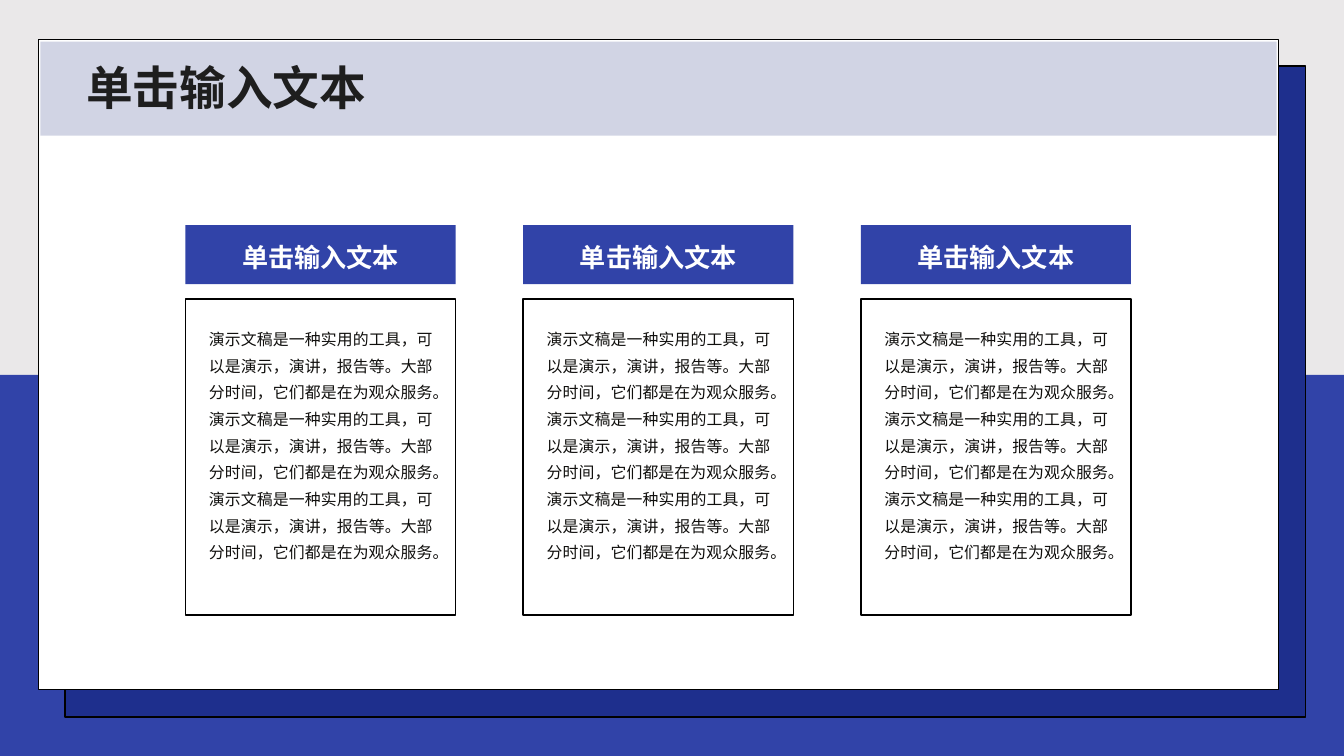
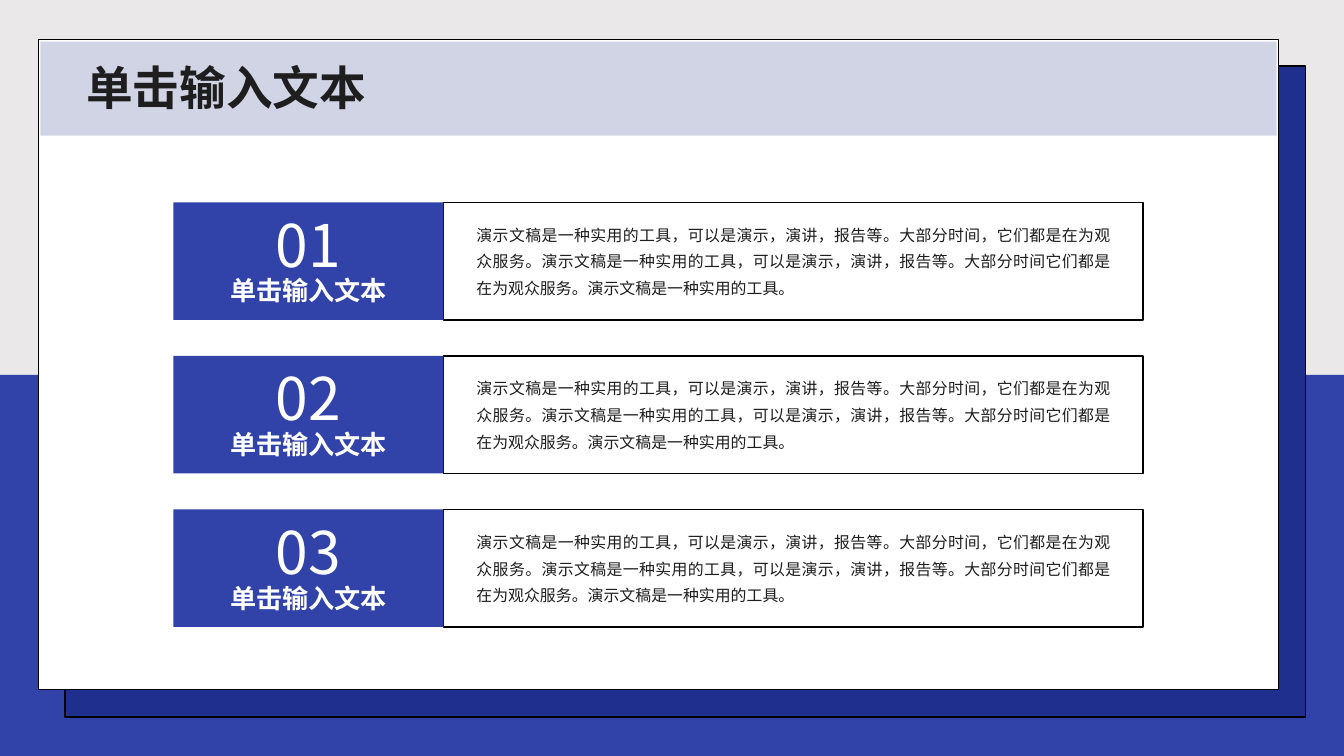
"""Build two slides: three columns of cards and three numbered rows."""
from dataclasses import dataclass

from lxml.etree import SubElement
from pptx import Presentation
from pptx.dml.color import RGBColor
from pptx.enum.shapes import MSO_SHAPE
from pptx.enum.text import MSO_ANCHOR, MSO_AUTO_SIZE, PP_ALIGN
from pptx.oxml.ns import qn
from pptx.util import Inches, Pt

TITLE = "单击输入文本"
HEADING = "单击输入文本"
SENTENCE = "演示文稿是一种实用的工具，可以是演示，演讲，报告等。大部分时间，它们都是在为观众服务。"
CARD_TEXT = SENTENCE * 3
ROW_TEXT = SENTENCE + "演示文稿是一种实用的工具，可以是演示，演讲，报告等。大部分时间它们都是在为观众服务。演示文稿是一种实用的工具。"

CARDS = [(HEADING, CARD_TEXT)] * 3
ROWS = [(number, HEADING, ROW_TEXT) for number in ("01", "02", "03")]


@dataclass(frozen=True)
class Theme:
    """Colours, font and text styles shared by both slides."""
    font: str = "Noto Sans CJK SC"
    backdrop: str = "EAE8E9"
    blue: str = "3143A8"
    navy: str = "1E2F8D"
    band: str = "D1D4E4"
    white: str = "FFFFFF"
    black: str = "000000"
    dark: str = "1E1E1E"
    ink: str = "100F0D"
    outline: float = 1.5


THEME = Theme()
STYLES = {
    "title": dict(size=50, bold=True, color=THEME.dark, spacing=60, align=PP_ALIGN.LEFT),
    "heading": dict(size=28, bold=True, color=THEME.white, spacing=43.7, align=PP_ALIGN.CENTER),
    "number": dict(size=62.9, bold=False, color=THEME.white, spacing=75.5, align=PP_ALIGN.CENTER),
    "card": dict(size=17, bold=False, color=THEME.ink, spacing=28.6, align=PP_ALIGN.JUSTIFY),
    "row": dict(size=17, bold=False, color=THEME.dark, spacing=28.6, align=PP_ALIGN.JUSTIFY),
}
FRAME = [
    ((0, 5.58, 20, 5.67), THEME.blue, False),
    ((0.97, 0.98, 18.46, 9.69), THEME.navy, True),
    ((0.57, 0.59, 18.46, 9.67), THEME.white, True),
    ((0.6, 0.62, 18.4, 1.4), THEME.band, False),
]


def set_all(target, values):
    """Set every attribute named in a dict of values."""
    for name, value in values.items():
        setattr(target, name, value)


def add_box(slide, place, fill=None, outlined=False):
    """Add a rectangle with an optional fill and outline."""
    shape = slide.shapes.add_shape(MSO_SHAPE.RECTANGLE, *map(Inches, place))
    shape.shadow.inherit = False
    if fill:
        shape.fill.solid()
        shape.fill.fore_color.rgb = RGBColor.from_string(fill)
    else:
        shape.fill.background()
    if outlined:
        shape.line.color.rgb = RGBColor.from_string(THEME.black)
        shape.line.width = Pt(THEME.outline)
    else:
        shape.line.fill.background()


def write(shape, text, style_name):
    """Fill a text shape with one styled paragraph."""
    style = STYLES[style_name]
    frame = shape.text_frame
    set_all(frame, dict(
        margin_left=0, margin_top=0, margin_right=0, margin_bottom=0,
        word_wrap=True, auto_size=MSO_AUTO_SIZE.SHAPE_TO_FIT_TEXT,
        vertical_anchor=MSO_ANCHOR.TOP))
    paragraph = frame.paragraphs[0]
    set_all(paragraph, dict(alignment=style["align"], line_spacing=Pt(style["spacing"])))
    run = paragraph.add_run()
    run.text = text
    set_all(run.font, dict(name=THEME.font, size=Pt(style["size"]), bold=style["bold"]))
    run.font.color.rgb = RGBColor.from_string(style["color"])
    SubElement(run.font._element, qn("a:ea"), typeface=THEME.font)


def add_text(slide, place, text, style_name):
    """Add a text box in a named style."""
    write(slide.shapes.add_textbox(*map(Inches, place)), text, style_name)


def add_framed_slide(presentation, title_text):
    """Add a slide with the layered frame, the title band and the title."""
    slide = presentation.slides.add_slide(presentation.slide_layouts[5])
    slide.background.fill.solid()
    slide.background.fill.fore_color.rgb = RGBColor.from_string(THEME.backdrop)
    for place, fill, outlined in FRAME:
        add_box(slide, place, fill, outlined)
    title = slide.shapes.title
    set_all(title, dict(left=Inches(1.28), top=Inches(0.88),
                        width=Inches(4.76), height=Inches(0.82)))
    write(title, title_text, "title")
    slide.shapes._spTree.append(title._element)
    return slide


def add_cards(slide):
    """Place the cards side by side, each under its heading bar."""
    first_left, pitch, width = 2.76, 5.025, 4.02
    for index, (heading, text) in enumerate(CARDS):
        left = first_left + index * pitch
        add_box(slide, (left, 4.45, width, 4.7), outlined=True)
        add_box(slide, (left, 3.35, width, 0.88), THEME.blue)
        add_text(slide, (left + 0.57, 3.45, 2.88, 0.56), heading, "heading")
        add_text(slide, (left + 0.35, 4.79, 3.33, 3.94), text, "card")


def add_rows(slide):
    """Stack the rows, each with a numbered label and an outlined text."""
    first_top, pitch, height = 3.01, 2.285, 1.75
    label_left, label_width, text_width = 2.58, 4.02, 10.41
    text_left = label_left + label_width
    for index, (number, heading, text) in enumerate(ROWS):
        top = first_top + index * pitch
        add_box(slide, (text_left, top, text_width, height), outlined=True)
        add_box(slide, (label_left, top, label_width, height), THEME.blue)
        add_text(slide, (text_left + 0.49, top + 0.23, 9.44, 1.17), text, "row")
        add_text(slide, (label_left + 0.43, top + 0.94, 3.16, 0.56), heading, "heading")
        add_text(slide, (label_left + 1.24, top + 0.09, 1.54, 1.05), number, "number")


def main():
    """Build and save the presentation."""
    presentation = Presentation()
    set_all(presentation, dict(slide_width=Inches(20), slide_height=Inches(11.25)))
    for add_content in (add_cards, add_rows):
        add_content(add_framed_slide(presentation, TITLE))
    presentation.save("out.pptx")


if __name__ == "__main__":
    main()
